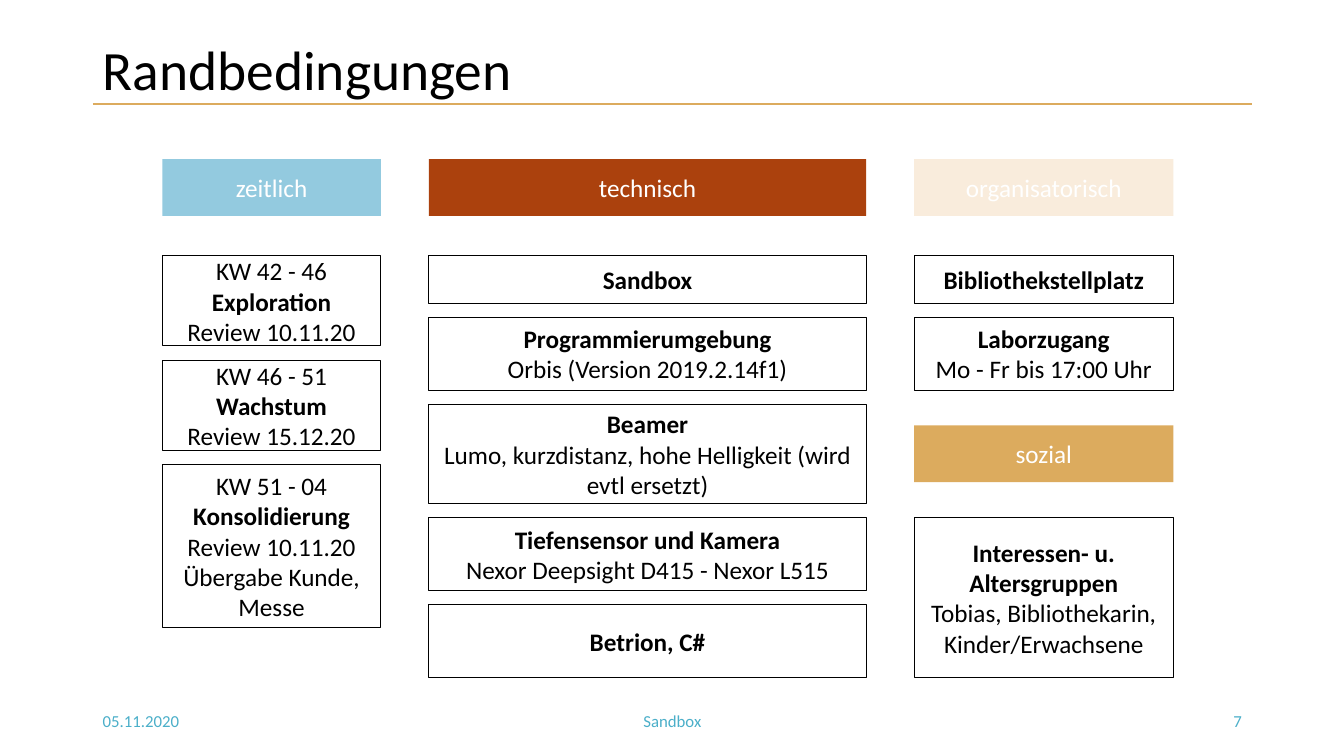
"""Build the slide on project constraints: schedule, technology, organisation and people."""
import dataclasses

import lxml.etree
import pptx
import pptx.dml.color
import pptx.enum.shapes
import pptx.enum.text
import pptx.oxml.ns
import pptx.util

Cm = pptx.util.Cm
Pt = pptx.util.Pt
Align = pptx.enum.text.PP_ALIGN
RGB = pptx.dml.color.RGBColor.from_string


@dataclasses.dataclass(frozen=True)
class Theme:
    font: str = "Calibri"
    ink: str = "000000"
    white: str = "FFFFFF"
    footer: str = "4BAFC9"
    sky: str = "93CADF"
    rust: str = "AB410D"
    cream: str = "F9ECDC"
    gold: str = "DCAB5E"
    title_size: float = 39.6
    body_size: float = 18
    footer_size: float = 12


theme = Theme()


def write(shape, lines, size, color, paragraph_format):
    frame = shape.text_frame
    frame.word_wrap = True
    frame.vertical_anchor = pptx.enum.text.MSO_ANCHOR.MIDDLE
    for number, (text, bold) in enumerate(lines):
        paragraph = frame.add_paragraph() if number else frame.paragraphs[0]
        paragraph.text = text
        for name, value in paragraph_format.items():
            setattr(paragraph, name, value)
        font_format = {"name": theme.font, "size": Pt(size), "bold": bold}
        for name, value in font_format.items():
            setattr(paragraph.font, name, value)
        paragraph.font.color.rgb = RGB(color)


def add_box(left, top, width, height, lines, color, fill=None):
    box = slide.shapes.add_shape(
        pptx.enum.shapes.MSO_SHAPE.RECTANGLE, Cm(left), Cm(top), Cm(width), Cm(height))
    box.shadow.inherit = False
    if fill:
        box.fill.solid()
        box.fill.fore_color.rgb = RGB(fill)
        box.line.fill.background()
    else:
        box.fill.background()
        box.line.color.rgb = RGB(theme.ink)
        box.line.width = Pt(0.75)
    write(box, lines, theme.body_size, color, {"alignment": Align.CENTER})


deck = pptx.Presentation()
deck.slide_width, deck.slide_height = Cm(33.87), Cm(19.05)
slide = deck.slides.add_slide(deck.slide_layouts[6])

margin, content_width = 2.34, 29.21
rule_y = 2.62
rule = slide.shapes.add_connector(
    pptx.enum.shapes.MSO_CONNECTOR.STRAIGHT,
    Cm(margin), Cm(rule_y), Cm(margin + content_width), Cm(rule_y))
rule.line.color.rgb = RGB(theme.gold)
rule.line.width = Pt(1.5)
lxml.etree.SubElement(rule.element.spPr, pptx.oxml.ns.qn("a:effectLst"))

title = slide.shapes.add_textbox(Cm(margin), Cm(1.02), Cm(content_width), Cm(1.6))
write(title, [("Randbedingungen", False)], theme.title_size, theme.ink,
      {"alignment": Align.LEFT, "line_spacing": 0.9})

footers = [
    (margin, 7.62, "05.11.2020", Align.LEFT),
    (11.23, 11.43, "Sandbox", Align.CENTER),
    (23.93, 7.62, "7", Align.RIGHT),
]
for left, width, text, alignment in footers:
    footer = slide.shapes.add_textbox(Cm(left), Cm(17.65), Cm(width), Cm(1.02))
    write(footer, [(text, False)], theme.footer_size, theme.footer, {"alignment": alignment})

schedule = [
    (2.27, [("KW 42 - 46", False), ("Exploration", True), ("Review 10.11.20", False)]),
    (2.27, [("KW 46 - 51", False), ("Wachstum", True), ("Review 15.12.20", False)]),
    (4.1, [("KW 51 - 04", False), ("Konsolidierung", True), ("Review 10.11.20", False),
           ("Übergabe Kunde, Messe", False)]),
]
technology = [
    (1.19, [("Sandbox", True)]),
    (1.83, [("Programmierumgebung", True), ("Orbis (Version 2019.2.14f1)", False)]),
    (2.5, [("Beamer", True),
           ("Lumo, kurzdistanz, hohe Helligkeit (wird evtl ersetzt)", False)]),
    (1.83, [("Tiefensensor und Kamera", True), ("Nexor Deepsight D415 - Nexor L515", False)]),
    (1.83, [("Betrion, C#", True)]),
]
organisation = [
    (1.19, [("Bibliothekstellplatz", True)]),
    (1.83, [("Laborzugang", True), ("Mo - Fr bis 17:00 Uhr", False)]),
]
people = [
    (4.02, [("Interessen- u.", True), ("Altersgruppen", True),
            ("Tobias, Bibliothekarin, Kinder/Erwachsene", False)]),
]

heading_top, cards_top = 4.01, 6.45
columns = [
    (5.51, [("zeitlich", theme.sky, heading_top, cards_top, schedule)]),
    (11.02, [("technisch", theme.rust, heading_top, cards_top, technology)]),
    (6.53, [("organisatorisch", theme.cream, heading_top, cards_top, organisation),
            ("sozial", theme.gold, 10.72, 13.05, people)]),
]
heading_height, column_gap, card_gap = 1.43, 1.21, 0.36

left = 4.09
for width, sections in columns:
    for heading, fill, top, card_top, cards in sections:
        add_box(left, top, width, heading_height, [(heading, False)], theme.white, fill)
        for height, lines in cards:
            add_box(left, card_top, width, height, lines, theme.ink)
            card_top += height + card_gap
    left += width + column_gap

deck.save("out.pptx")
